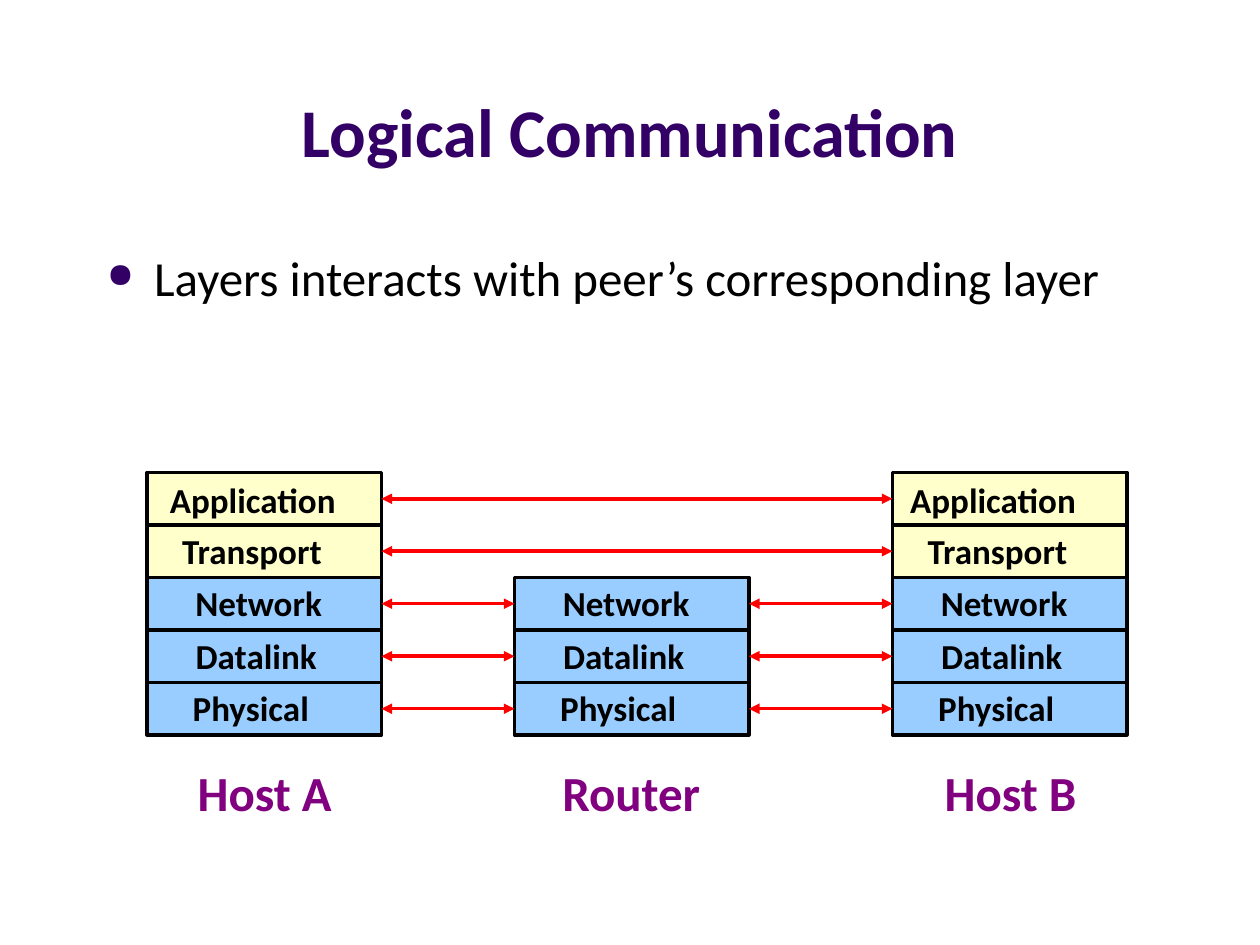
from lxml import etree
from pptx import Presentation
from pptx.dml.color import RGBColor
from pptx.enum.shapes import MSO_CONNECTOR, MSO_SHAPE
from pptx.enum.text import MSO_ANCHOR, PP_ALIGN
from pptx.oxml.ns import qn
from pptx.util import Pt

LEFT, CENTER = PP_ALIGN.LEFT, PP_ALIGN.CENTER
TOP, BOTTOM = MSO_ANCHOR.TOP, MSO_ANCHOR.BOTTOM
RECT, LINE = MSO_SHAPE.RECTANGLE, MSO_CONNECTOR.STRAIGHT

BLACK = RGBColor(0x00, 0x00, 0x00)
INDIGO = RGBColor(0x33, 0x00, 0x66)
PURPLE = RGBColor(0x80, 0x00, 0x80)
RED = RGBColor(0xFF, 0x00, 0x00)
YELLOW = RGBColor(0xFF, 0xFF, 0xCC)
BLUE = RGBColor(0x99, 0xCC, 0xFF)

TITLE = "Logical Communication"
POINT = "Layers interacts with peer’s corresponding layer"
# name, fill, label indent, label rise, label width
LAYERS = [
    ("Application", YELLOW, 6, 0, 111.6),
    ("Transport", YELLOW, 13, 1.2, 96.5),
    ("Network", BLUE, 20.5, 1.2, 87.8),
    ("Datalink", BLUE, 20.7, 1.2, 85),
    ("Physical", BLUE, 19, 1.2, 82),
]
# name, left, first layer, name indent, name width, Application shift
NODES = [
    ("Host A", 84, 0, 21.1, 92.2, 0),
    ("Router", 294, 2, 19.2, 95, 0),
    ("Host B", 510, 0, 22.1, 90.7, -3),
]
LINKS = [("Host A", "Router", 2), ("Router", "Host B", 2), ("Host A", "Host B", 0)]
STACK, ROW, WIDE = 270, 30, 134
FOOT = 432

prs = Presentation()
prs.slide_width, prs.slide_height = Pt(720), Pt(540)
slide = prs.slides.add_slide(prs.slide_layouts[6])
shapes = slide.shapes


def add_text(text, x, y, w, h, size=20, color=BLACK, bold=True, align=LEFT,
             anchor=TOP, wrap=False, bullet=None):
    frame = shapes.add_textbox(Pt(x), Pt(y), Pt(w), Pt(h)).text_frame
    frame.word_wrap, frame.vertical_anchor = wrap, anchor
    para = frame.paragraphs[0]
    para.text, para.alignment = text, align
    if bullet:
        props = para._p.get_or_add_pPr()
        props.set("marL", str(Pt(27)))
        props.set("indent", str(-Pt(27)))
        tint = etree.SubElement(props, qn("a:buClr"))
        etree.SubElement(tint, qn("a:srgbClr"), val=str(bullet))
        etree.SubElement(props, qn("a:buSzPct"), val="70000")
        etree.SubElement(props, qn("a:buChar"), char="●")
    font = para.font
    font.name, font.size, font.bold = "Calibri", Pt(size), bold
    font.color.rgb = color


def add_box(x, y, fill):
    box = shapes.add_shape(RECT, Pt(x), Pt(y), Pt(WIDE), Pt(ROW))
    box.shadow.inherit = False
    box.fill.solid()
    box.fill.fore_color.rgb = fill
    box.line.color.rgb, box.line.width = BLACK, Pt(2)
    return box


def add_link(start, end):
    """Join the right side of start to the left side of end."""
    link = shapes.add_connector(LINE, 0, 0, 0, 0)
    link.begin_connect(start, 3)
    link.end_connect(end, 1)
    link.line.color.rgb, link.line.width = RED, Pt(2)
    ln = link.line._get_or_add_ln()
    for tip in ("a:headEnd", "a:tailEnd"):
        etree.SubElement(ln, qn(tip), type="triangle")
    etree.SubElement(link._element.spPr, qn("a:effectLst"))


add_text(TITLE, 36, 9.5, 648, 92, size=39, color=INDIGO, align=CENTER,
         anchor=BOTTOM, wrap=True)
add_text(POINT, 54, 138, 636, 60, size=28, bold=False, wrap=True, bullet=INDIGO)

boxes = {}
for node, left, first, dent, width, shift in NODES:
    for row, (layer, fill, inset, rise, span) in enumerate(LAYERS):
        if row < first:
            continue
        top = STACK + row * ROW
        boxes[node, row] = add_box(left, top, fill)
        move = shift if row == 0 else 0
        add_text(layer, left + inset + move, top - rise, span, 31.5)
    add_text(node, left + dent, FOOT, width, 41, size=28, color=PURPLE, align=CENTER)

for start, end, first in LINKS:
    last = len(LAYERS) if first else 2
    for row in range(first, last):
        add_link(boxes[start, row], boxes[end, row])

prs.save("out.pptx")
